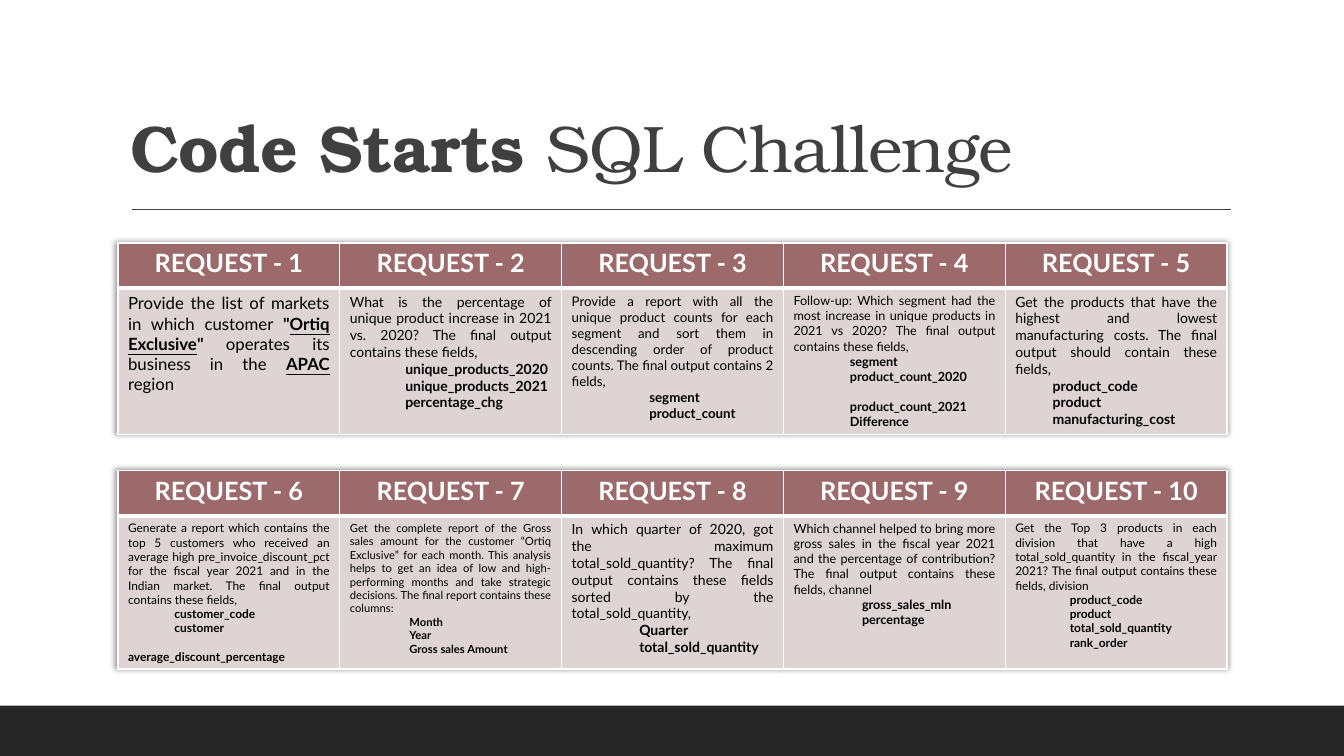
"""Build a slide with ten SQL challenge requests in two tables."""
from lxml import etree
from pptx import Presentation
from pptx.dml.color import RGBColor
from pptx.enum.shapes import MSO_CONNECTOR, MSO_SHAPE
from pptx.enum.text import MSO_ANCHOR, PP_ALIGN
from pptx.oxml import parse_xml
from pptx.oxml.ns import nsdecls, qn
from pptx.util import Inches, Pt

STRAIGHT, RECTANGLE = MSO_CONNECTOR.STRAIGHT, MSO_SHAPE.RECTANGLE
BOTTOM, CENTER, JUSTIFY = MSO_ANCHOR.BOTTOM, PP_ALIGN.CENTER, PP_ALIGN.JUSTIFY

TITLE = [("Code Starts ", {"bold": True}), ("SQL Challenge", {"bold": False})]
BOLD = {"bold": True}
KEY = {"bold": True, "underline": True}

REQUESTS = [
    {"size": 12, "ask": [
        ("Provide the list of markets in which customer ", {}), ('"', BOLD),
        ("Ortiq Exclusive", KEY), ('" ', BOLD),
        ("operates its business in the ", {}), ("APAC", KEY), (" region", {})]},
    {"size": 10, "indent": 0.55, "ask": [
        ("What is the percentage of unique product increase in 2021 vs. 2020? "
         "The final output contains these fields,", {})],
     "fields": ["unique_products_2020", "unique_products_2021", "percentage_chg"]},
    {"size": 9.5, "indent": 0.77, "ask": [
        ("Provide a report with all the unique product counts for each segment and "
         "sort them in descending order of product counts. The final output "
         "contains 2 fields,", {})],
     "fields": ["segment", "product_count"]},
    {"size": 9, "indent": 0.56, "ask": [
        ("Follow-up: Which segment had the most increase in unique products in "
         "2021 vs 2020? The final output contains these fields,", {})],
     "fields": ["segment", "product_count_2020", "product_count_2021", "Difference"],
     "gap_before": "product_count_2021"},
    {"size": 10, "indent": 0.37, "ask": [
        ("Get the products that have the highest and lowest manufacturing costs. "
         "The final output should contain these fields,", {})],
     "fields": ["product_code", "product", "manufacturing_cost"]},
    {"size": 8.5, "indent": 0.46, "ask": [
        ("Generate a report which contains the top 5 customers who received an "
         "average high pre_invoice_discount_pct for the fiscal year 2021 and in "
         "the Indian market. The final output contains these fields,", {})],
     "fields": ["customer_code", "customer", "average_discount_percentage"],
     "gap_before": "average_discount_percentage", "flush": "average_discount_percentage"},
    {"size": 8, "indent": 0.59, "ask": [
        ("Get the complete report of the Gross sales amount for the customer "
         "“Ortiq Exclusive” for each month. This analysis helps to get an idea of "
         "low and high-performing months and take strategic decisions. The final "
         "report contains these columns:", {})],
     "fields": ["Month", "Year", "Gross sales Amount"]},
    {"size": 10, "indent": 0.67, "ask": [
        ("In which quarter of 2020, got the maximum total_sold_quantity? The final "
         "output contains these fields sorted by the total_sold_quantity,", {})],
     "fields": ["Quarter", "total_sold_quantity"]},
    {"size": 9, "indent": 0.68, "ask": [
        ("Which channel helped to bring more gross sales in the fiscal year 2021 "
         "and the percentage of contribution? The final output contains these "
         "fields, channel", {})],
     "fields": ["gross_sales_mln", "percentage"]},
    {"size": 8.5, "indent": 0.54, "ask": [
        ("Get the Top 3 products in each division that have a high "
         "total_sold_quantity in the fiscal_year 2021? The final output contains "
         "these fields, division", {})],
     "fields": ["product_code", "product", "total_sold_quantity", "rank_order"]},
]
PER_ROW = 5
TABLES = [{"top": 2.41, "body": 1.45}, {"top": 4.67, "body": 1.51}]
TABLE_LEFT, COLUMN, HEADER = 1.17, 2.2, 0.45

THEME = {
    "title_font": "TeX Gyre Bonum", "body_font": "Lato",
    "title_size": 47, "header_size": 18,
    "ink": "404040", "band": "262626", "header": "9C6A6A", "body": "DED4D4",
    "text": "000000", "white": "FFFFFF",
}


def color(name):
    return RGBColor.from_string(THEME[name])


def add_run(paragraph, text, ink, **formats):
    run = paragraph.add_run()
    run.text = text
    run.font.color.rgb = color(ink)
    for key, value in formats.items():
        setattr(run.font, key, value)
    return run


def set_borders(cell, bottom):
    properties = cell._tc.get_or_add_tcPr()
    widths = {"lnL": 1, "lnR": 1, "lnT": 1, "lnB": bottom}
    for position, (side, width) in enumerate(widths.items()):
        properties.insert(position, parse_xml(
            f'<a:{side} {nsdecls("a")} w="{Pt(width)}"><a:solidFill>'
            f'<a:srgbClr val="{THEME["white"]}"/></a:solidFill></a:{side}>'))


def style_cell(cell, fill, bottom):
    cell.fill.solid()
    cell.fill.fore_color.rgb = color(fill)
    set_borders(cell, bottom)


def fill_header(cell, number):
    style_cell(cell, "header", 3)
    heading = cell.text_frame.paragraphs[0]
    heading.alignment = CENTER
    add_run(heading, f"REQUEST - {number}", "white", bold=True,
            name=THEME["body_font"], size=Pt(THEME["header_size"]))


def fill_body(cell, request):
    style_cell(cell, "body", 1)
    base = {"name": THEME["body_font"], "size": Pt(request["size"]), "bold": False}
    ask = cell.text_frame.paragraphs[0]
    ask.alignment = JUSTIFY
    for text, formats in request["ask"]:
        add_run(ask, text, "text", **{**base, **formats})
    for field in request.get("fields", []):
        line = cell.text_frame.add_paragraph()
        line.alignment = JUSTIFY
        if field != request.get("flush"):
            line._p.get_or_add_pPr().set("marL", str(Inches(request["indent"])))
        if field == request.get("gap_before"):
            line.space_before = Pt(request["size"] * 1.2)
        add_run(line, field, "text", **{**base, **BOLD})


def add_requests(slide, first, top, body):
    table = slide.shapes.add_table(
        2, PER_ROW, Inches(TABLE_LEFT), Inches(top),
        Inches(COLUMN * PER_ROW), Inches(HEADER + body)).table
    table.rows[0].height, table.rows[1].height = Inches(HEADER), Inches(body)
    table._tbl.tblPr.insert(0, parse_xml(
        f'<a:effectLst {nsdecls("a")}><a:outerShdw blurRad="50800" dist="25400" '
        'dir="13500000" algn="br" rotWithShape="0"><a:srgbClr val="000000">'
        '<a:alpha val="40000"/></a:srgbClr></a:outerShdw></a:effectLst>'))
    for column in range(PER_ROW):
        table.columns[column].width = Inches(COLUMN)
        fill_header(table.cell(0, column), first + column + 1)
        fill_body(table.cell(1, column), REQUESTS[first + column])


def add_frame(slide):
    band = slide.shapes.add_shape(
        RECTANGLE, Inches(0), Inches(7), Inches(13.33), Inches(0.5))
    band.shadow.inherit = False
    band.fill.solid()
    band.fill.fore_color.rgb = color("band")
    band.line.fill.background()
    rule = slide.shapes.add_connector(
        STRAIGHT, Inches(1.31), Inches(2.08), Inches(12.21), Inches(2.08))
    rule.line.color.rgb = color("ink")
    rule.line.width = Pt(1)
    etree.SubElement(rule._element.spPr, qn("a:effectLst"))


def add_title(slide):
    frame = slide.shapes.add_textbox(
        Inches(1.2), Inches(0.31), Inches(11), Inches(1.59)).text_frame
    frame.word_wrap = True
    frame.vertical_anchor = BOTTOM
    heading = frame.paragraphs[0]
    heading.line_spacing = 0.9
    for text, formats in TITLE:
        run = add_run(heading, text, "ink", name=THEME["title_font"],
                      size=Pt(THEME["title_size"]), **formats)
        run.font._element.set("spc", "-50")


def main():
    deck = Presentation()
    deck.slide_width, deck.slide_height = Inches(13.33), Inches(7.5)
    slide = deck.slides.add_slide(deck.slide_layouts[6])
    add_frame(slide)
    add_title(slide)
    for index, place in enumerate(TABLES):
        add_requests(slide, index * PER_ROW, **place)
    deck.save("out.pptx")


if __name__ == "__main__":
    main()
